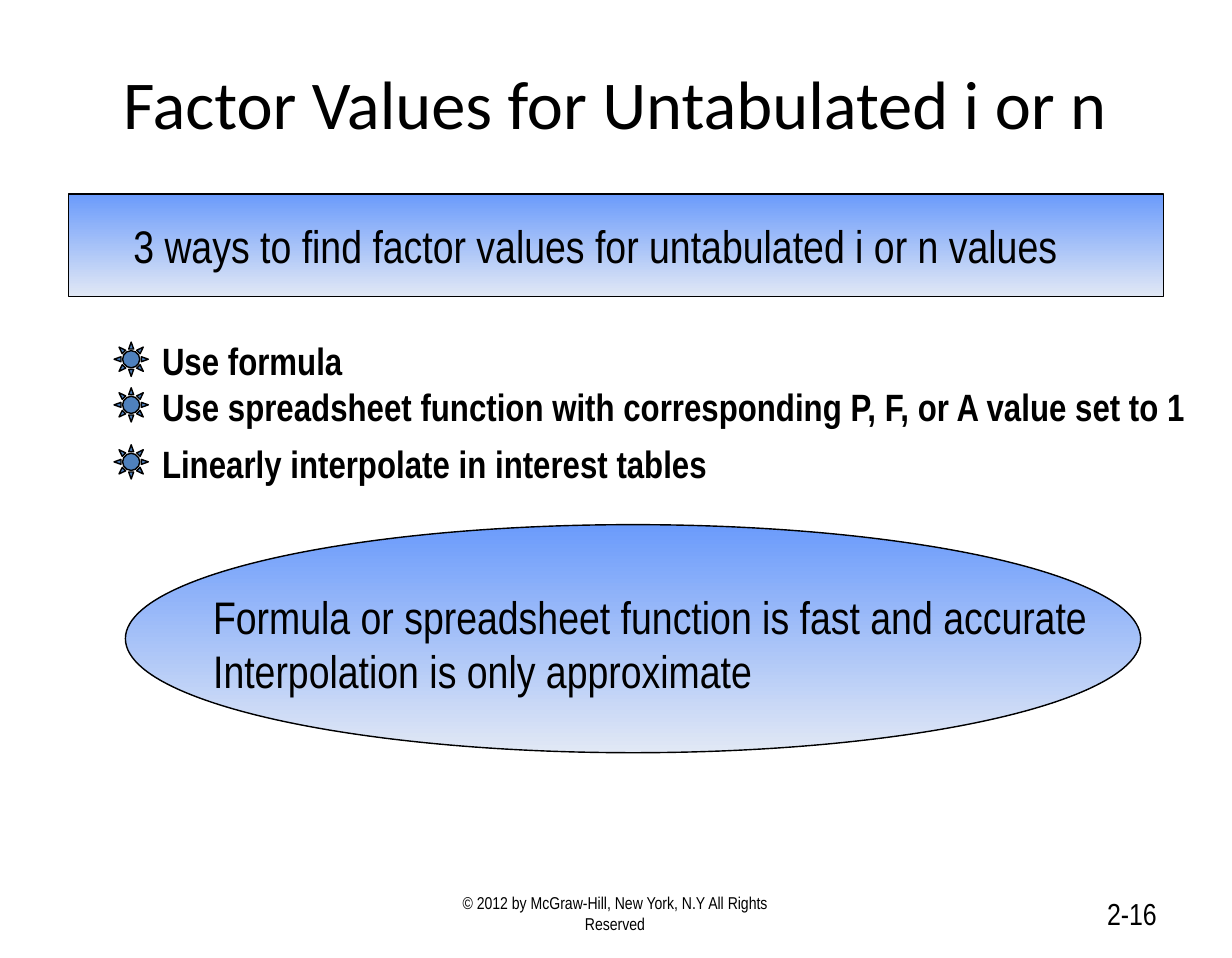
from dataclasses import dataclass

from lxml.etree import SubElement
from pptx import Presentation
from pptx.dml.color import RGBColor
from pptx.enum.shapes import MSO_SHAPE
from pptx.enum.text import MSO_ANCHOR, MSO_AUTO_SIZE, PP_ALIGN
from pptx.oxml.ns import qn
from pptx.shapes.autoshape import Shape
from pptx.slide import Slide
from pptx.util import Pt

BLACK = "000000"
NARROW = "Arial Narrow"


@dataclass
class Box:
    """Place and size in points."""
    left: float
    top: float
    width: float
    height: float

    def spot(self) -> tuple[Pt, Pt, Pt, Pt]:
        """Return the four lengths."""
        return Pt(self.left), Pt(self.top), Pt(self.width), Pt(self.height)


@dataclass
class Label:
    """Text with its place and style."""
    text: str
    box: Box
    size: float
    font: str = NARROW
    bold: bool = False
    align: PP_ALIGN = PP_ALIGN.LEFT
    anchor: MSO_ANCHOR = MSO_ANCHOR.TOP


@dataclass
class Panel:
    """Shape filled with the blue fade."""
    kind: MSO_SHAPE
    box: Box


PANELS = [
    Panel(MSO_SHAPE.RECTANGLE, Box(36, 102, 576, 54)),
    Panel(MSO_SHAPE.OVAL, Box(66, 276, 534, 120)),
]
TITLE = Label("Factor Values for Untabulated i or n", Box(48, 12, 551, 84), 36,
              "Calibri", align=PP_ALIGN.CENTER, anchor=MSO_ANCHOR.MIDDLE)
WAYS = Label("Use formula\n"
             "Use spreadsheet function with corresponding P, F, or A value set to 1\n"
             "Linearly interpolate in interest tables",
             Box(78, 174, 564, 90), 20, bold=True)
GAPS = [0, 0, 6]
PITCH = 24
LABELS = [
    Label("© 2012 by McGraw-Hill, New York, N.Y All Rights Reserved",
          Box(221, 467, 205, 27), 9, align=PP_ALIGN.CENTER, anchor=MSO_ANCHOR.MIDDLE),
    Label("2-16", Box(464.4, 467, 151.2, 27), 16,
          align=PP_ALIGN.RIGHT, anchor=MSO_ANCHOR.MIDDLE),
    Label("3 ways to find factor values for untabulated i or n values",
          Box(63, 111, 525, 36), 24),
    Label("Formula or spreadsheet function is fast and accurate\n"
          "Interpolation is only approximate", Box(105, 306, 480, 65), 24),
]


def tint(code: str) -> RGBColor:
    """Turn a hex string into a colour."""
    return RGBColor.from_string(code)


def write(shape: Shape, label: Label) -> None:
    """Place a text shape and style its text."""
    shape.left, shape.top, shape.width, shape.height = label.box.spot()
    frame = shape.text_frame
    frame.text = label.text
    frame.word_wrap = True
    frame.auto_size = MSO_AUTO_SIZE.NONE
    frame.vertical_anchor = label.anchor
    for para in frame.paragraphs:
        para.alignment = label.align
        for run in para.runs:
            run.font.name = label.font
            run.font.size = Pt(label.size)
            run.font.bold = label.bold
            run.font.color.rgb = tint(BLACK)


def draw(slide: Slide, kind: MSO_SHAPE, box: Box) -> Shape:
    """Add a shape with a thin black line."""
    shape = slide.shapes.add_shape(kind, *box.spot())
    shape.shadow.inherit = False
    shape.line.color.rgb = tint(BLACK)
    shape.line.width = Pt(0.75)
    return shape


def fade(shape: Shape) -> None:
    """Fill a shape from blue down to pale blue."""
    shape.fill.gradient()
    shape.fill.gradient_angle = 270
    for stop, code in zip(shape.fill.gradient_stops, ("6B9BFB", "E1E8F5")):
        stop.color.rgb = tint(code)


def list_ways(slide: Slide) -> None:
    """Fill the body and set a sun before each line."""
    body = slide.placeholders[1]
    write(body, WAYS)
    top = WAYS.box.top + 6
    for para, gap in zip(body.text_frame.paragraphs, GAPS):
        props = para._p.get_or_add_pPr()
        props.set("marL", "0")
        props.set("indent", "0")
        SubElement(props, qn("a:buNone"))
        para.line_spacing = Pt(PITCH)
        para.space_before = Pt(gap)
        top += gap
        sun = draw(slide, MSO_SHAPE.SUN, Box(60, top, 18, 18))
        sun.fill.solid()
        sun.fill.fore_color.rgb = tint("4F81BD")
        top += PITCH


def main() -> None:
    """Build and save the slide."""
    deck = Presentation()
    deck.slide_width, deck.slide_height = Pt(648), Pt(504)
    slide = deck.slides.add_slide(deck.slide_layouts[1])
    write(slide.shapes.title, TITLE)
    for panel in PANELS:
        fade(draw(slide, panel.kind, panel.box))
    list_ways(slide)
    for label in LABELS:
        write(slide.shapes.add_textbox(*label.box.spot()), label)
    deck.save("out.pptx")


if __name__ == "__main__":
    main()
